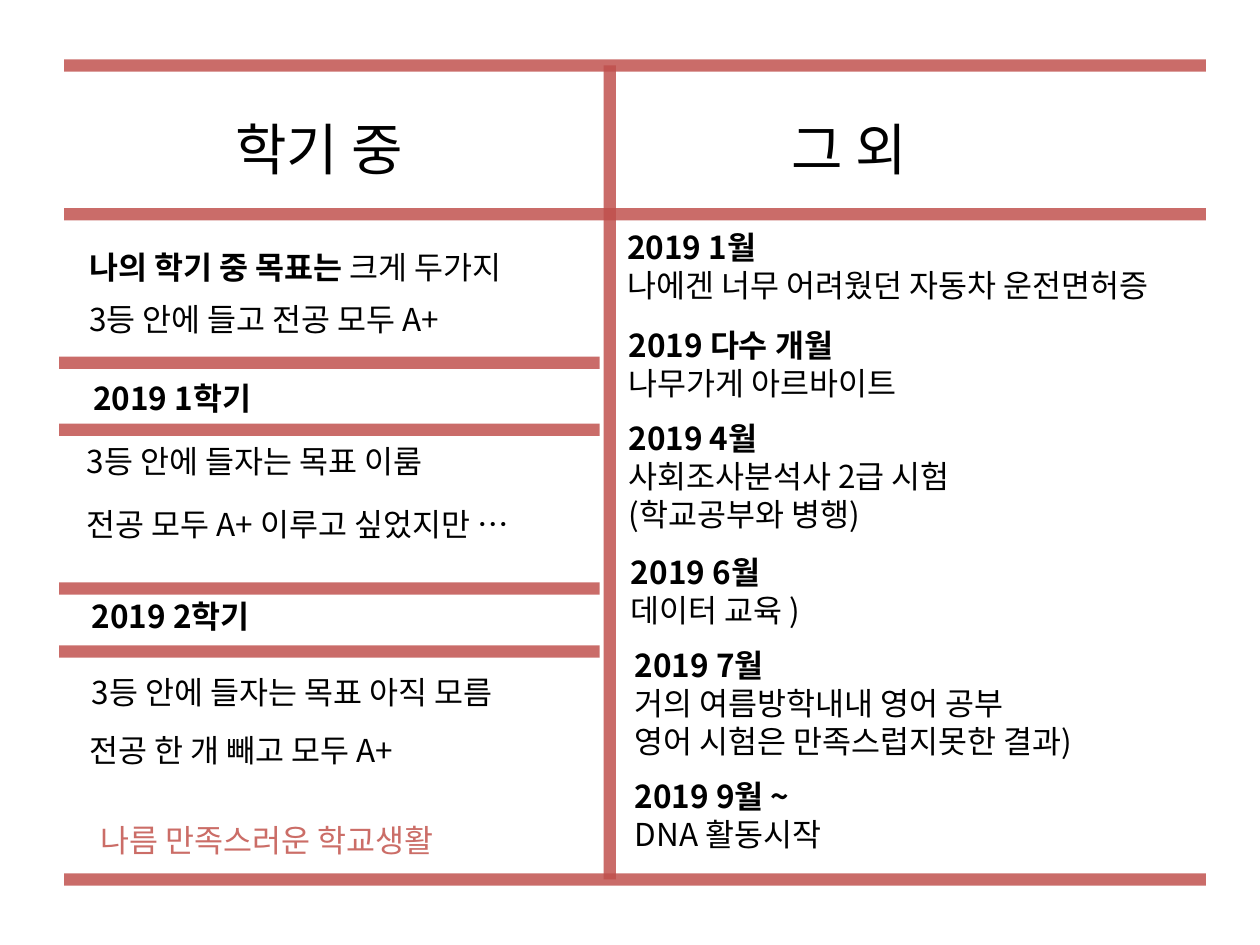
from lxml import etree
from pptx import Presentation
from pptx.dml.color import RGBColor
from pptx.enum import shapes, text
from pptx.oxml import ns
from pptx.util import Inches, Pt

RED = RGBColor(0xC0, 0x50, 0x4D)
ROSE = RGBColor(0xCB, 0x6D, 0x67)
BLACK = RGBColor(0, 0, 0)
FONT = "Noto Sans CJK KR"

prs = Presentation()
prs.slide_width, prs.slide_height = Inches(10), Inches(7.5)
slide = prs.slides.add_slide(prs.slide_layouts[6])


def add_rule(x1, y1, x2, y2):
    rule = slide.shapes.add_connector(
        shapes.MSO_CONNECTOR.STRAIGHT, Inches(x1), Inches(y1), Inches(x2), Inches(y2))
    rule.line.color.rgb = RED
    rule.line.width = Pt(7)
    color = rule.line.fill._xPr.find(".//" + ns.qn("a:srgbClr"))
    etree.SubElement(color, ns.qn("a:alpha"), val="83000")
    etree.SubElement(rule._element.spPr, ns.qn("a:effectLst"))


def add_text(left, top, width, height, lines, size=18, color=BLACK):
    """Each line is a list of (wording, bold) runs."""
    box = slide.shapes.add_textbox(Inches(left), Inches(top), Inches(width), Inches(height))
    frame = box.text_frame
    frame.word_wrap = True
    frame.auto_size = text.MSO_AUTO_SIZE.SHAPE_TO_FIT_TEXT
    for i, line in enumerate(lines):
        paragraph = frame.paragraphs[0] if i == 0 else frame.add_paragraph()
        for wording, bold in line:
            run = paragraph.add_run()
            run.text = wording
            font = run.font
            font.size, font.bold, font.name = Pt(size), bold, FONT
            font.color.rgb = color
            etree.SubElement(run._r.get_or_add_rPr(), ns.qn("a:ea"), typeface=FONT)


# Frame of the two columns
for y in (0.52, 1.7, 6.98):
    add_rule(0.51, y, 9.57, y)
add_rule(4.84, 0.52, 4.84, 6.98)

# Lines around the semester titles
for y in (2.88, 3.41, 4.67, 5.17):
    add_rule(0.47, y, 4.76, y)

# Column headings
for left, heading in ((1.77, "학기 중"), (6.18, "그 외")):
    add_text(left, 0.86, 2.91, 0.64, [[(heading, False)]], size=32)

# Left column: goals and semesters
semester_rows = [
    (0.61, 1.92, [("나의 학기 중 목표는 ", True), ("크게 두가지", False)]),
    (0.61, 2.33, [("3등 안에 들고 전공 모두 A+", False)]),
    (0.64, 2.96, [("2019 1학기", True)]),
    (0.59, 3.46, [("3등 안에 들자는 목표 이룸", False)]),
    (0.59, 3.96, [("전공 모두 A+ 이루고 싶었지만 …", False)]),
    (0.63, 4.69, [("2019 2학기", True)]),
    (0.63, 5.29, [("3등 안에 들자는 목표 아직 모름", False)]),
    (0.61, 5.75, [("전공 한 개 빼고 모두 A+", False)]),
]
for left, top, runs in semester_rows:
    add_text(left, top, 4.17, 0.4, [runs])
add_text(0.7, 6.47, 4.17, 0.4, [[("나름 만족스러운 학교생활", False)]], color=ROSE)

# Right column: dated activities
activities = [
    (4.88, 1.76, "2019 1월", ["나에겐 너무 어려웠던 자동차 운전면허증"]),
    (4.89, 2.54, "2019 다수 개월", ["나무가게 아르바이트"]),
    (4.89, 3.28, "2019 4월", ["사회조사분석사 2급 시험", "(학교공부와 병행)"]),
    (4.91, 4.34, "2019 6월", ["데이터 교육 )"]),
    (4.94, 5.08, "2019 7월", ["거의 여름방학내내 영어 공부", "영어 시험은 만족스럽지못한 결과)"]),
    (4.94, 6.12, "2019 9월 ~", ["DNA 활동시작"]),
]
for left, top, date, details in activities:
    lines = [[(date, True)]] + [[(detail, False)] for detail in details]
    add_text(left, top, 5, 0.1 + 0.3 * len(lines), lines)

prs.save("out.pptx")
